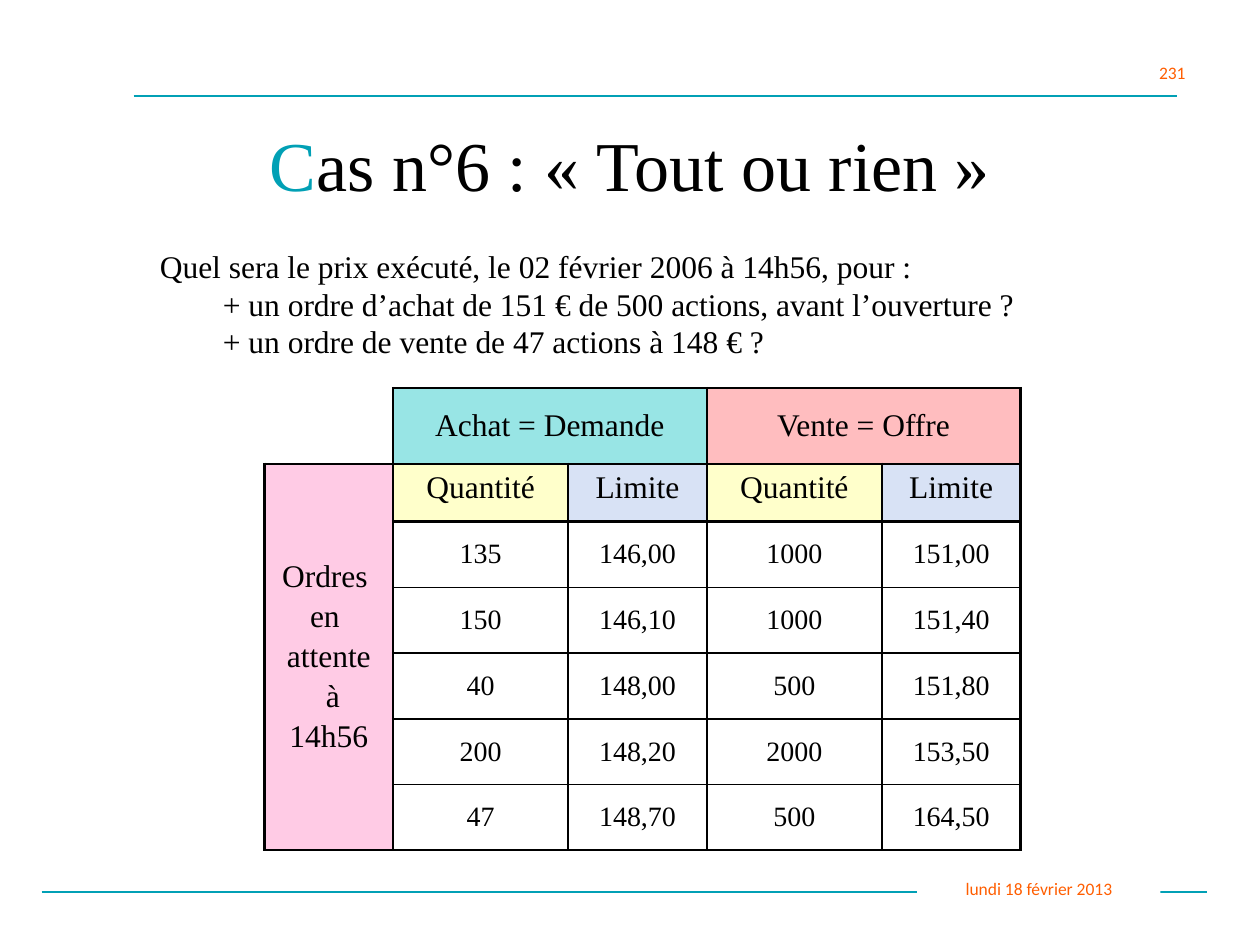
import pptx
import pptx.dml.color
import pptx.enum.shapes
import pptx.enum.text
import pptx.oxml
import pptx.oxml.ns
import pptx.util
from lxml import etree

RGB = pptx.dml.color.RGBColor
ANCHOR = pptx.enum.text.MSO_ANCHOR
ALIGN = pptx.enum.text.PP_ALIGN
Pt = pptx.util.Pt
qn = pptx.oxml.ns.qn

BLACK = RGB(0x00, 0x00, 0x00)
WHITE = RGB(0xFF, 0xFF, 0xFF)
TEAL = RGB(0x01, 0xA0, 0xB5)
ORANGE = RGB(0xFF, 0x5E, 0x00)
TURQUOISE = RGB(0x33, 0xCC, 0xCC)
CORAL = RGB(0xFF, 0x7C, 0x80)
PINK = RGB(0xFF, 0x99, 0xCC)
YELLOW = RGB(0xFF, 0xFF, 0x99)
BLUE = RGB(0xB2, 0xC7, 0xEC)

GRID_COLS, GRID_ROWS = 100, 75


class Deck:
    serif, sans = "Times New Roman", "Calibri"

    def __init__(self):
        self.prs = pptx.Presentation()
        self.prs.slide_width = pptx.util.Inches(10)
        self.prs.slide_height = pptx.util.Inches(7.5)
        self.s = self.prs.slides.add_slide(self.prs.slide_layouts[5])

    def x(self, cols):
        return round(self.prs.slide_width * cols / GRID_COLS)

    def y(self, rows):
        return round(self.prs.slide_height * rows / GRID_ROWS)

    def box(self, left, top, width, height):
        return self.x(left), self.y(top), self.x(width), self.y(height)

    def style(self, p, size, color=BLACK, font=None, align=ALIGN.CENTER):
        p.alignment = align
        for r in p.runs:
            r.font.name = font or self.serif
            r.font.size = Pt(size)
            r.font.color.rgb = color

    def title(self, initial, rest, *place):
        sp = self.s.shapes.title
        sp.left, sp.top, sp.width, sp.height = self.box(*place)
        tf = sp.text_frame
        tf.vertical_anchor = ANCHOR.MIDDLE
        p = tf.paragraphs[0]
        for text in (initial, rest):
            p.add_run().text = text
        self.style(p, 40)
        p.runs[0].font.color.rgb = TEAL

    def rule(self, left, right, row):
        line = self.s.shapes.add_connector(
            pptx.enum.shapes.MSO_CONNECTOR.STRAIGHT,
            self.x(left), self.y(row), self.x(right), self.y(row))
        line.line.color.rgb = TEAL
        line.line.width = Pt(1)
        etree.SubElement(line._element.spPr, qn("a:effectLst"))

    def label(self, text, *place, align=ALIGN.CENTER, wrap=True):
        """Small orange text that masks the rule behind it."""
        sp = self.s.shapes.add_shape(
            pptx.enum.shapes.MSO_SHAPE.RECTANGLE, *self.box(*place))
        sp.shadow.inherit = False
        sp.fill.solid()
        sp.fill.fore_color.rgb = WHITE
        sp.line.fill.background()
        tf = sp.text_frame
        tf.word_wrap = wrap
        tf.vertical_anchor = ANCHOR.MIDDLE if wrap else ANCHOR.TOP
        tf.text = text
        self.style(tf.paragraphs[0], 10, ORANGE, self.sans, align)

    def question(self, lines, *place):
        tf = self.s.shapes.add_textbox(*self.box(*place)).text_frame
        tf.word_wrap = True
        tf.text = "\n".join(lines)
        for p in tf.paragraphs:
            pPr = p._p.get_or_add_pPr()
            pPr.set("marL", str(self.x(5)))
            pPr.set("indent", str(-self.x(5)))
            self.style(p, 18, align=ALIGN.JUSTIFY)

    def table(self, left, top, widths, heights):
        tbl = self.s.shapes.add_table(
            len(heights), len(widths),
            *self.box(left, top, sum(widths), sum(heights))).table
        tbl.first_row = tbl.horz_banding = False
        for column, width in zip(tbl.columns, widths):
            column.width = self.x(width)
        for row, height in zip(tbl.rows, heights):
            row.height = self.y(height)
        return tbl

    def borders(self, cell, **widths):
        """Draw the sides L, R, T, B in points; a width of 0 hides a side."""
        tcPr = cell._tc.get_or_add_tcPr()
        for side in "LRTB":
            width = widths.get(side, 1.5)
            ln = etree.SubElement(tcPr, qn("a:ln" + side), w=str(Pt(width)))
            if width:
                fill = etree.SubElement(ln, qn("a:solidFill"))
                etree.SubElement(fill, qn("a:srgbClr"), val=str(BLACK))
            else:
                etree.SubElement(ln, qn("a:noFill"))

    def cell(self, cell, text, size=18, fill=None, anchor=ANCHOR.MIDDLE):
        cell.vertical_anchor = anchor
        tf = cell.text_frame
        tf.text = text
        for i, p in enumerate(tf.paragraphs):
            self.style(p, size)
            if i:
                p.space_before = Pt(3)
        if fill is None:
            cell.fill.background()
            return
        cell.fill.solid()
        cell.fill.fore_color.rgb = fill
        color = cell._tc.tcPr.find(".//" + qn("a:solidFill") + "[last()]/" + qn("a:srgbClr"))
        color = cell._tc.tcPr.find(qn("a:solidFill")).find(qn("a:srgbClr"))
        etree.SubElement(color, qn("a:alpha"), val="50000")


ORDERS = [
    ("135", "146,00", "1000", "151,00"),
    ("150", "146,10", "1000", "151,40"),
    ("40", "148,00", "500", "151,80"),
    ("200", "148,20", "2000", "153,50"),
    ("47", "148,70", "500", "164,50"),
]


def order_book(deck):
    tbl = deck.table(21, 30.8, [10.2] + [13.9, 11] * 2,
                     [6, 4.6] + [5.22] * len(ORDERS))
    last = len(ORDERS) + 1
    for r in range(last + 1):
        for c in range(5):
            if (r, c) == (0, 0):
                sides = {"L": 0, "T": 0}
            elif r > 1 and c:
                sides = {"T": 1.5 if r == 2 else 1, "B": 1.5 if r == last else 1}
            else:
                sides = {}
            deck.borders(tbl.cell(r, c), **sides)

    deck.cell(tbl.cell(0, 0), "")
    for c, text, fill in ((1, "Achat = Demande", TURQUOISE), (3, "Vente = Offre", CORAL)):
        tbl.cell(0, c).merge(tbl.cell(0, c + 1))
        deck.cell(tbl.cell(0, c), text, fill=fill)
        deck.cell(tbl.cell(1, c), "Quantité", fill=YELLOW, anchor=ANCHOR.TOP)
        deck.cell(tbl.cell(1, c + 1), "Limite", fill=BLUE, anchor=ANCHOR.TOP)
    tbl.cell(1, 0).merge(tbl.cell(last, 0))
    deck.cell(tbl.cell(1, 0), "Ordres \nen \nattente\n à\n14h56", fill=PINK)
    for r, order in enumerate(ORDERS, 2):
        for c, value in enumerate(order, 1):
            deck.cell(tbl.cell(r, c), value, size=16)


def main():
    deck = Deck()
    deck.rule(3.3, 95.8, 70.8)
    deck.label("lundi 18 février 2013", 72.8, 69.2, 19.3, 2.7)
    deck.label("231", 91, 4.4, 4.5, 2.7, align=ALIGN.LEFT, wrap=False)
    deck.rule(10.6, 93.4, 7.6)
    deck.question([
        "Quel sera le prix exécuté, le 02 février 2006 à 14h56, pour : ",
        "\t+ un ordre d’achat de 151 € de 500 actions, avant l’ouverture ? ",
        "\t+ un ordre de vente de 47 actions à 148 € ? ",
    ], 11.7, 19.1, 77.5, 10)
    order_book(deck)
    deck.title("C", "as n°6 : «\u00a0Tout ou rien\u00a0»", 7.5, 6.7, 85, 12.5)
    deck.prs.save("out.pptx")


if __name__ == "__main__":
    main()
